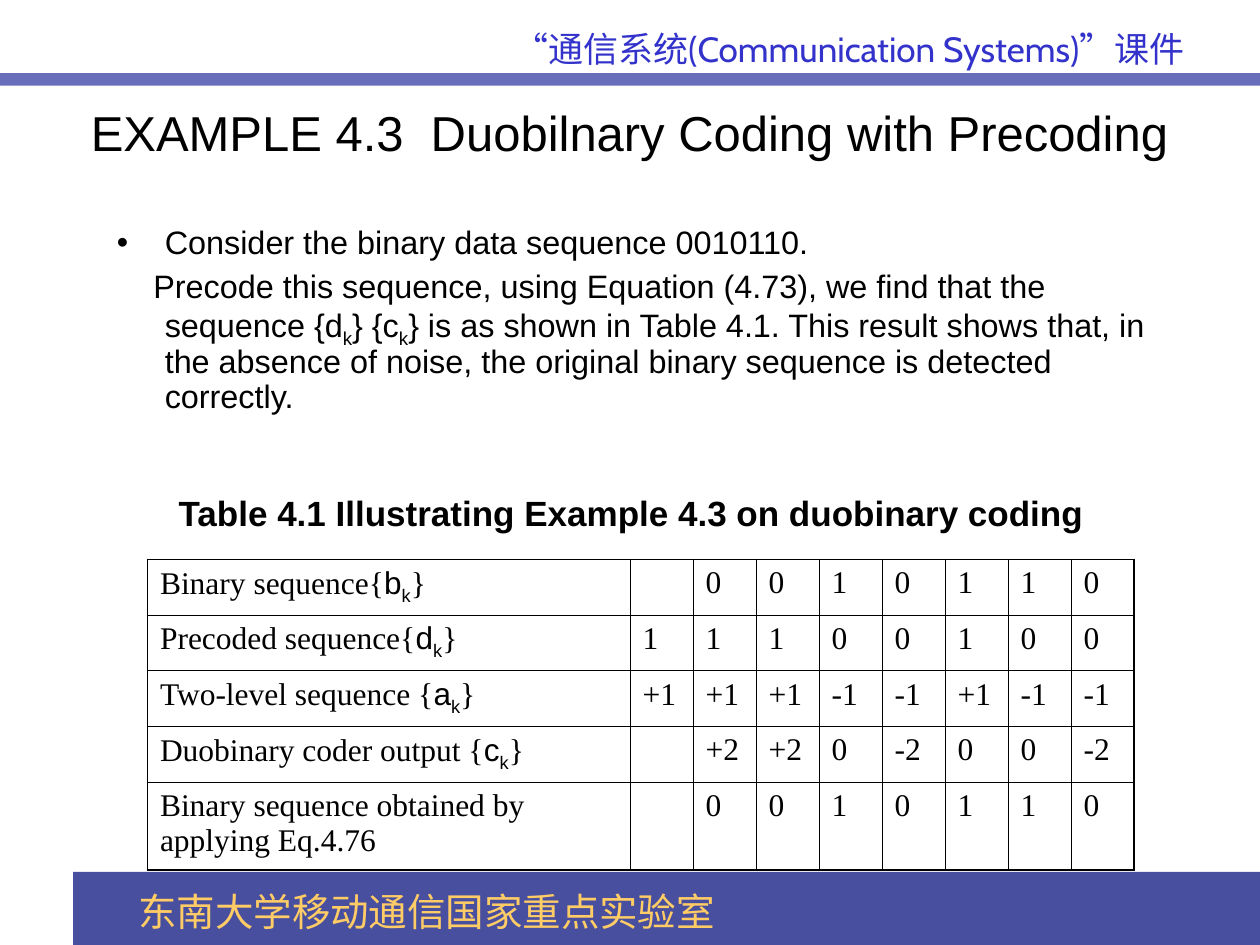
from lxml import etree
from pptx import Presentation
from pptx.dml.color import RGBColor
from pptx.enum.shapes import MSO_SHAPE
from pptx.enum.text import MSO_ANCHOR, PP_ALIGN
from pptx.oxml.ns import qn
from pptx.util import Inches, Pt

RECTANGLE = MSO_SHAPE.RECTANGLE
LEFT, CENTER, RIGHT = PP_ALIGN.LEFT, PP_ALIGN.CENTER, PP_ALIGN.RIGHT
MIDDLE = MSO_ANCHOR.MIDDLE

BLACK = RGBColor(0x00, 0x00, 0x00)
FOOTER_BLUE = RGBColor(0x49, 0x4F, 0x9F)
RULE_BLUE = RGBColor(0x68, 0x6E, 0xBA)
COURSE_BLUE = RGBColor(0x33, 0x33, 0xCC)
LAB_GOLD = RGBColor(0xFF, 0xCC, 0x66)
SANS, SERIF, BRAND_FONT = "Arial", "Times New Roman", "Cabin"

COURSE = "“通信系统(Communication Systems)”课件"
LAB = "东南大学移动通信国家重点实验室"
TITLE = "EXAMPLE 4.3  Duobilnary Coding with Precoding"
CAPTION = "Table 4.1 Illustrating Example 4.3 on duobinary coding"
PREMISE = "Consider the binary data sequence 0010110."
# Each pair is a stretch of text and the subscript that follows it.
RESULT = [
    ("Precode this sequence, using Equation (4.73), we find that the sequence {d", "k"),
    ("} {c", "k"),
    ("} is as shown in Table 4.1. This result shows that, in the absence of noise, "
     "the original binary sequence is detected correctly.", ""),
]
# Label, symbol carrying the subscript k, values
SEQUENCES = [
    ("Binary sequence", "b", ["", "0", "0", "1", "0", "1", "1", "0"]),
    ("Precoded sequence", "d", ["1", "1", "1", "0", "0", "1", "0", "0"]),
    ("Two-level sequence ", "a", ["+1", "+1", "+1", "-1", "-1", "+1", "-1", "-1"]),
    ("Duobinary coder output ", "c", ["", "+2", "+2", "0", "-2", "0", "0", "-2"]),
    ("Binary sequence obtained by applying Eq.4.76", "",
     ["", "0", "0", "1", "0", "1", "1", "0"]),
]
LABEL_WIDTH, VALUE_WIDTH = 3.83, 0.5
ROW_HEIGHTS = [0.44, 0.44, 0.44, 0.44, 0.7]
INNER_LINE, OUTER_LINE = Pt(0.45), Pt(1.08)


def add_run(paragraph, text, size, font=SANS, color=BLACK, bold=False, subscript=False):
    run = paragraph.add_run()
    run.text = text
    run.font.size = Pt(size)
    run.font.name = font
    run.font.bold = bold
    run.font.color.rgb = color
    if subscript:
        run.font._element.set("baseline", "-25000")


def add_band(slide, left, top, width, height, color):
    band = slide.shapes.add_shape(
        RECTANGLE, Inches(left), Inches(top), Inches(width), Inches(height))
    band.shadow.inherit = False
    band.fill.solid()
    band.fill.fore_color.rgb = color
    band.line.fill.background()


def add_text_frame(slide, left, top, width, height, wrap=True):
    box = slide.shapes.add_textbox(
        Inches(left), Inches(top), Inches(width), Inches(height))
    box.text_frame.word_wrap = wrap
    return box.text_frame


def add_line(slide, place, text, size, font, color, align=LEFT, bold=False, wrap=True):
    """Add a text box holding one paragraph in one format."""
    paragraph = add_text_frame(slide, *place, wrap=wrap).paragraphs[0]
    paragraph.alignment = align
    add_run(paragraph, text, size, font, color, bold)


def set_indent(paragraph, left, first):
    properties = paragraph._p.get_or_add_pPr()
    properties.set("marL", str(Inches(left)))
    properties.set("indent", str(Inches(first)))
    paragraph.line_spacing = 0.9
    return properties


def add_body(slide):
    frame = add_text_frame(slide, 0.83, 1.75, 8.5, 1.83)
    premise = frame.paragraphs[0]
    bulleted = set_indent(premise, 0.38, -0.38)
    etree.SubElement(bulleted, qn("a:buFont"), typeface=SANS)
    etree.SubElement(bulleted, qn("a:buChar"), char="•")
    add_run(premise, PREMISE, 18.5)

    result = frame.add_paragraph()
    set_indent(result, 0.38, -0.09)
    result.space_before = Pt(5)
    for text, subscript in RESULT:
        add_run(result, text, 18.5)
        if subscript:
            add_run(result, subscript, 18.5, subscript=True)


def set_borders(cell, widths):
    """Draw black borders; widths run left, right, top, bottom."""
    properties = cell._tc.get_or_add_tcPr()
    for position, (side, width) in enumerate(zip("LRTB", widths)):
        line = etree.Element(qn(f"a:ln{side}"), w=str(width))
        fill = etree.SubElement(line, qn("a:solidFill"))
        etree.SubElement(fill, qn("a:srgbClr"), val=str(BLACK))
        properties.insert(position, line)


def add_sequence_table(slide):
    rows, columns = len(SEQUENCES), 1 + len(SEQUENCES[0][2])
    widths = [LABEL_WIDTH] + [VALUE_WIDTH] * (columns - 1)
    table = slide.shapes.add_table(
        rows, columns, Inches(1.17), Inches(4.44),
        Inches(sum(widths)), Inches(sum(ROW_HEIGHTS))).table
    table.first_row = table.horz_banding = False
    for column, width in zip(table.columns, widths):
        column.width = Inches(width)

    for r, (label, symbol, values) in enumerate(SEQUENCES):
        table.rows[r].height = Inches(ROW_HEIGHTS[r])
        for c, text in enumerate([label] + values):
            cell = table.cell(r, c)
            cell.fill.background()
            on_edge = (c == 0, c == columns - 1, r == 0, r == rows - 1)
            set_borders(cell, [OUTER_LINE if edge else INNER_LINE for edge in on_edge])
            paragraph = cell.text_frame.paragraphs[0]
            if c == 0 and symbol:
                add_run(paragraph, text + "{", 18, SERIF)
                add_run(paragraph, symbol, 18)
                add_run(paragraph, "k", 18, subscript=True)
                add_run(paragraph, "}", 18, SERIF)
            elif text:
                add_run(paragraph, text, 18, SERIF)


def main():
    deck = Presentation()
    deck.slide_width, deck.slide_height = Inches(10), Inches(7.5)
    slide = deck.slides.add_slide(deck.slide_layouts[5])

    add_band(slide, 0.58, 6.92, 9.42, 0.58, FOOTER_BLUE)
    add_band(slide, 0, 0.58, 10, 0.1, RULE_BLUE)
    add_line(slide, (1, 7, 5, 0.47), LAB, 22, BRAND_FONT, LAB_GOLD)
    add_line(slide, (3.5, 0.17, 6, 0.44), COURSE, 20, BRAND_FONT, COURSE_BLUE, RIGHT)

    title = slide.shapes.title
    title.left, title.top = Inches(0.58), Inches(0.67)
    title.width, title.height = Inches(8.83), Inches(0.75)
    title.text_frame.vertical_anchor = MIDDLE
    heading = title.text_frame.paragraphs[0]
    heading.alignment = CENTER
    add_run(heading, TITLE, 28)

    add_body(slide)
    add_sequence_table(slide)
    add_line(slide, (1.32, 3.85, 7.4, 0.44), CAPTION, 20, SANS, BLACK, bold=True, wrap=False)
    deck.save("out.pptx")


if __name__ == "__main__":
    main()
